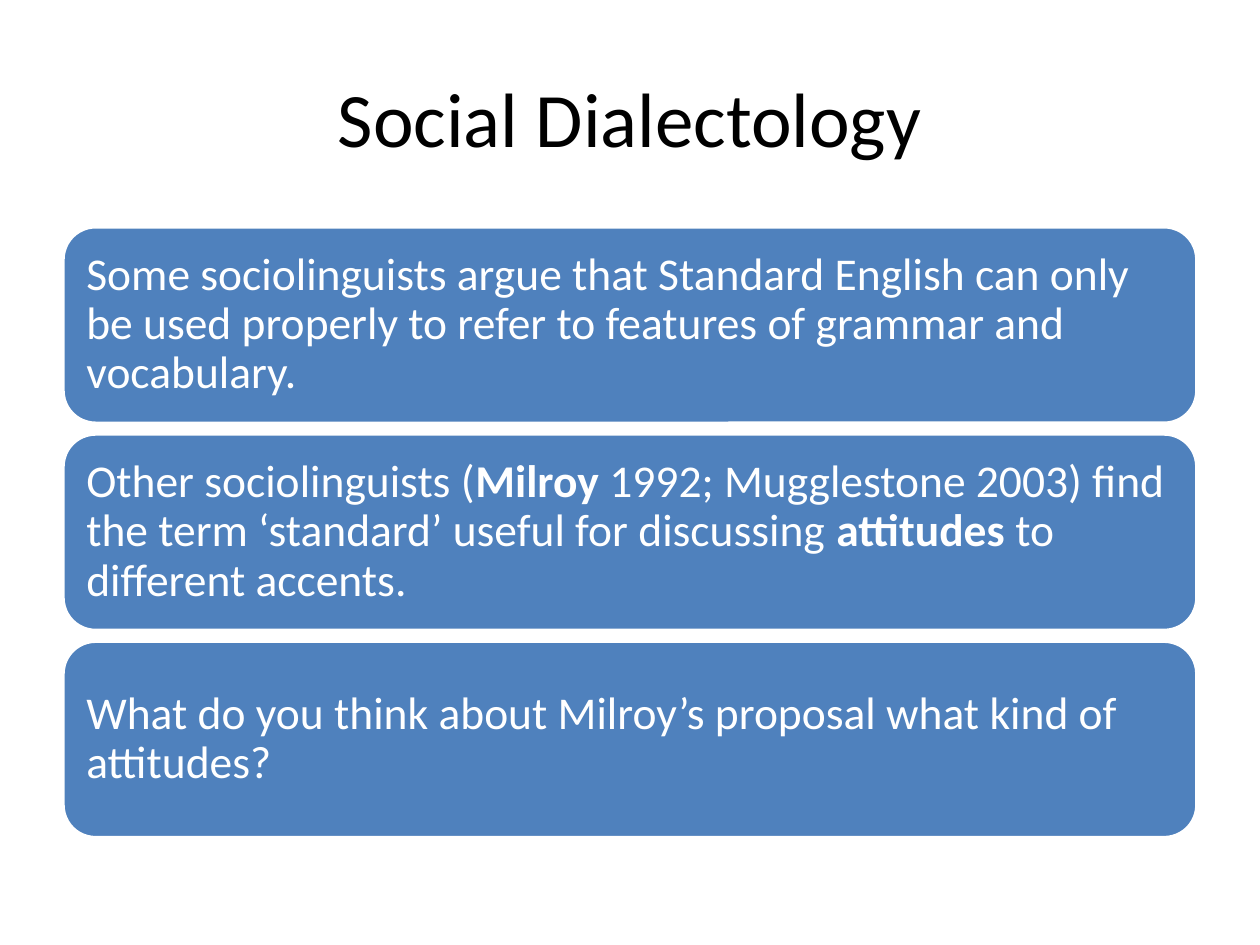
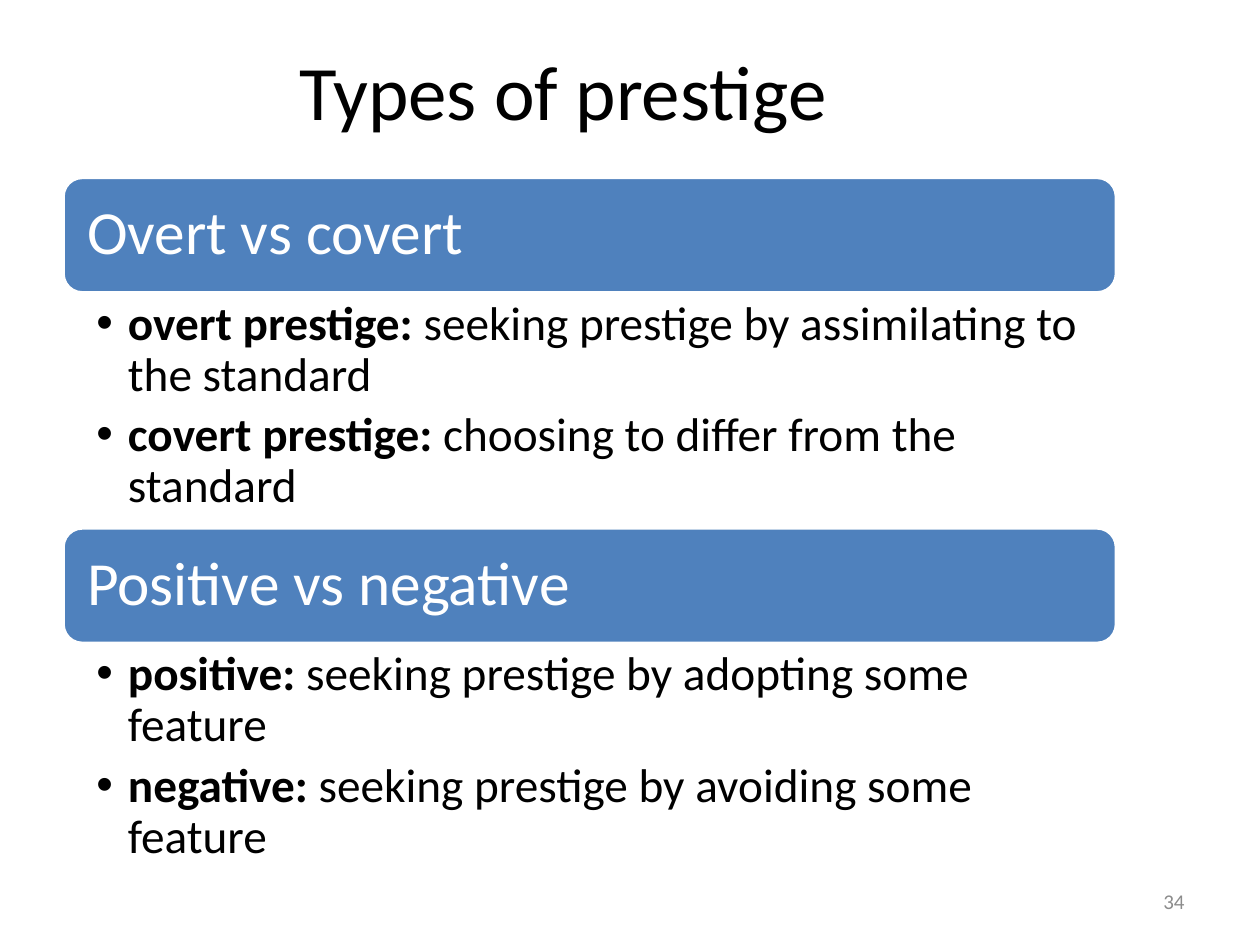
from lxml.etree import SubElement
from pptx import Presentation
from pptx.dml.color import RGBColor
from pptx.enum.shapes import MSO_SHAPE as Shape
from pptx.enum.text import MSO_ANCHOR as Anchor, MSO_AUTO_SIZE as AutoSize, PP_ALIGN as Align
from pptx.oxml.ns import qn
from pptx.util import Pt

FONT = "Calibri"
BLUE, WHITE, BLACK, GREY = "4F81BD", "FFFFFF", "000000", "8C8C8C"
LEFT = 36
LINE_SPACING = 0.9

ARGUMENTS = [
    [("Some sociolinguists argue that Standard English can only be used properly "
      "to refer to features of grammar and vocabulary.", False)],
    [("Other sociolinguists (", False), ("Milroy", True),
     (" 1992; Mugglestone 2003) find the term ‘standard’ useful for discussing ", False),
     ("attitudes", True), (" to different accents.", False)],
    [("What do you think about Milroy’s proposal what kind of attitudes?", False)],
]
PRESTIGE_TYPES = [
    ("Overt vs covert", [
        ("overt prestige: ", "seeking prestige by assimilating to the standard"),
        ("covert prestige: ", "choosing to differ from the standard")]),
    ("Positive vs negative", [
        ("positive: ", "seeking prestige by adopting some feature"),
        ("negative: ", "seeking prestige by avoiding some feature")]),
]


def color(value):
    return RGBColor.from_string(value)


def add_spans(para, spans, size, ink):
    for text, bold in spans:
        span = para.add_run()
        span.text = text
        span.font.name = FONT
        span.font.size = Pt(size)
        span.font.bold = bold
        span.font.color.rgb = color(ink)


def set_frame(frame, anchor, side, vertical):
    frame.word_wrap = True
    frame.auto_size = AutoSize.NONE
    frame.vertical_anchor = anchor
    frame.margin_left = frame.margin_right = Pt(side)
    frame.margin_top = frame.margin_bottom = Pt(vertical)


def add_page(deck, title, left, top, width, height):
    page = deck.slides.add_slide(deck.slide_layouts[5])
    box = page.shapes.title
    box.left, box.top, box.width, box.height = map(Pt, (left, top, width, height))
    set_frame(box.text_frame, Anchor.MIDDLE, 7.2, 3.6)
    para = box.text_frame.paragraphs[0]
    para.alignment = Align.CENTER
    add_spans(para, [(title, False)], 44, BLACK)
    return page


def add_band(page, spans, top, width, height, size, inset):
    band = page.shapes.add_shape(
        Shape.ROUNDED_RECTANGLE, Pt(LEFT), Pt(top), Pt(width), Pt(height))
    band.shadow.inherit = False
    band.fill.solid()
    band.fill.fore_color.rgb = color(BLUE)
    band.line.color.rgb = color(WHITE)
    band.line.width = Pt(2)
    set_frame(band.text_frame, Anchor.MIDDLE, inset, inset)
    para = band.text_frame.paragraphs[0]
    para.alignment = Align.LEFT
    para.line_spacing = LINE_SPACING
    add_spans(para, spans, size, WHITE)


def set_bullet(para, indent):
    properties = para._p.get_or_add_pPr()
    properties.set("marL", str(Pt(indent)))
    properties.set("indent", str(-Pt(indent)))
    SubElement(properties, qn("a:buFont"), typeface="Arial")
    SubElement(properties, qn("a:buChar"), char="•")


def add_definitions(page, definitions, top, width, height):
    box = page.shapes.add_textbox(Pt(LEFT), Pt(top), Pt(width), Pt(height))
    frame = box.text_frame
    set_frame(frame, Anchor.TOP, 19.1, 3.6)
    for index, (term, meaning) in enumerate(definitions):
        para = frame.add_paragraph() if index else frame.paragraphs[0]
        para.line_spacing = LINE_SPACING
        para.space_after = Pt(5.4)
        set_bullet(para, 18)
        add_spans(para, [(term, True), (meaning, False)], 27, BLACK)


def add_page_number(page, number):
    box = page.shapes.add_textbox(Pt(516), Pt(500.5), Pt(168), Pt(28.8))
    set_frame(box.text_frame, Anchor.MIDDLE, 7.2, 3.6)
    para = box.text_frame.paragraphs[0]
    para.alignment = Align.RIGHT
    add_spans(para, [(number, False)], 12, GREY)


def build_dialectology(deck):
    page = add_page(deck, "Social Dialectology", LEFT, 21.6, 648, 90)
    for index, spans in enumerate(ARGUMENTS):
        add_band(page, spans, 129.6 + index * 118.4, 648, 112.3, 26, 7.9)


def build_prestige(deck):
    page = add_page(deck, "Types of prestige", 36.7, 20.9, 570.2, 60.5)
    width, band_height, text_height = 602, 66, 134.3
    for index, (heading, definitions) in enumerate(PRESTIGE_TYPES):
        top = 101.4 + index * (band_height + text_height)
        add_band(page, [(heading, False)], top, width, band_height, 35, 10.6)
        add_definitions(page, definitions, top + band_height, width, text_height)
    add_page_number(page, "34")


def main():
    deck = Presentation()
    deck.slide_width, deck.slide_height = Pt(720), Pt(540)
    build_dialectology(deck)
    build_prestige(deck)
    deck.save("out.pptx")


if __name__ == "__main__":
    main()
